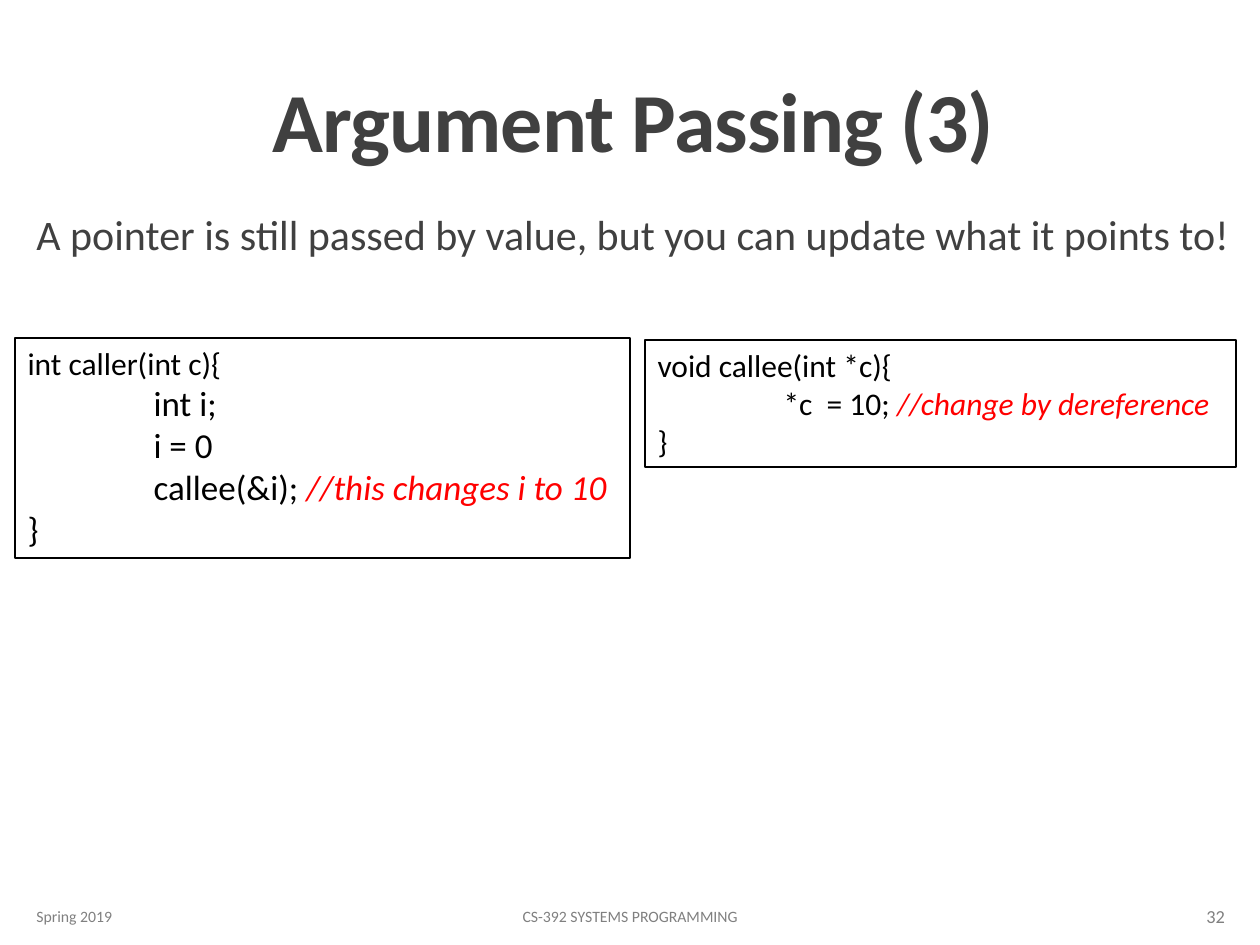
from lxml import etree
from pptx import Presentation
from pptx.dml.color import RGBColor
from pptx.enum.shapes import MSO_SHAPE
from pptx.enum.text import MSO_ANCHOR, MSO_AUTO_SIZE, PP_ALIGN
from pptx.oxml.ns import qn
from pptx.util import Inches, Pt

LEFT, CENTER, RIGHT = PP_ALIGN.LEFT, PP_ALIGN.CENTER, PP_ALIGN.RIGHT
TOP, MIDDLE, BOTTOM = MSO_ANCHOR.TOP, MSO_ANCHOR.MIDDLE, MSO_ANCHOR.BOTTOM
RECTANGLE = MSO_SHAPE.RECTANGLE
TITLE_ONLY = 5
FONT = "Calibri"
COLORS = {
    "text": "404040",
    "footer": "808080",
    "code": "000000",
    "comment": "FF0000",
    "box": "FFFFFF",
}


def color(name):
    return RGBColor.from_string(COLORS[name])


def set_font(font, size, color_name):
    font.name = FONT
    font.size = Pt(size)
    font.color.rgb = color(color_name)


def add_tab_stop(paragraph, position):
    properties = paragraph._p.get_or_add_pPr()
    tab_list = etree.SubElement(properties, qn("a:tabLst"))
    etree.SubElement(tab_list, qn("a:tab"), pos=str(position), algn="l")


def add_title(slide, box, text):
    title = slide.shapes.title
    title.left, title.top, title.width, title.height = map(Inches, box)
    frame = title.text_frame
    frame.vertical_anchor = BOTTOM
    frame.auto_size = MSO_AUTO_SIZE.NONE
    paragraph = frame.paragraphs[0]
    paragraph.alignment = CENTER
    paragraph.line_spacing = 0.85
    set_font(paragraph.font, 48, "text")
    paragraph.font.bold = True
    run = paragraph.add_run()
    run.text = text
    run.font._element.set("spc", "-50")


def add_text(slide, box, text, size, color_name, alignment=LEFT, anchor=MIDDLE):
    frame = slide.shapes.add_textbox(*map(Inches, box)).text_frame
    frame.word_wrap = True
    frame.vertical_anchor = anchor
    paragraph = frame.paragraphs[0]
    paragraph.text = text
    paragraph.alignment = alignment
    set_font(paragraph.font, size, color_name)
    return frame


def add_statement(slide, box, text):
    frame = add_text(slide, box, text, 24, "text", anchor=TOP)
    frame.margin_right = 0
    frame.paragraphs[0].line_spacing = 0.9


def add_code_box(slide, box, lines):
    """Draw a framed listing; each line is (size, code, optional comment)."""
    shape = slide.shapes.add_shape(RECTANGLE, *map(Inches, box))
    shape.shadow.inherit = False
    shape.fill.solid()
    shape.fill.fore_color.rgb = color("box")
    shape.line.color.rgb = color("code")
    shape.line.width = Pt(1.25)
    frame = shape.text_frame
    frame.word_wrap = True
    frame.vertical_anchor = TOP
    for index, (size, code, *comments) in enumerate(lines):
        paragraph = frame.add_paragraph() if index else frame.paragraphs[0]
        paragraph.alignment = LEFT
        add_tab_stop(paragraph, Inches(1))
        set_font(paragraph.font, size, "code")
        paragraph.add_run().text = code
        for comment in comments:
            run = paragraph.add_run()
            run.text = comment
            run.font.italic = True
            run.font.color.rgb = color("comment")


def add_footer(slide, top):
    add_text(slide, (0.19, top, 2.03, 0.4), "Spring 2019", 9, "footer")
    add_text(slide, (3.02, top, 3.96, 0.4), "CS-392 SYSTEMS PROGRAMMING", 9,
             "footer", CENTER)
    add_text(slide, (8.74, top, 1.08, 0.4), "32", 10.5, "footer", RIGHT)


def main():
    presentation = Presentation()
    presentation.slide_width = Inches(10)
    presentation.slide_height = Inches(7.5)
    slide = presentation.slides.add_slide(presentation.slide_layouts[TITLE_ONLY])
    add_title(slide, (0.9, 0.04, 8.25, 1.36), "Argument Passing (3)")
    add_statement(
        slide, (0.19, 1.65, 9.62, 5.15),
        "A pointer is still passed by value, but you can update what it points to!")
    add_footer(slide, 7.07)
    add_code_box(slide, (5.12, 2.7, 4.69, 1.01), [
        (18, "void callee(int *c){"),
        (18, "\t*c  = 10; ", "//change by dereference"),
        (18, "}"),
    ])
    add_code_box(slide, (0.12, 2.68, 4.88, 1.75), [
        (18, "int caller(int c){"),
        (20, "\tint i;"),
        (20, "\ti = 0"),
        (20, "\tcallee(&i); ", "//this changes i to 10"),
        (20, "}"),
    ])
    presentation.save("out.pptx")


if __name__ == "__main__":
    main()
